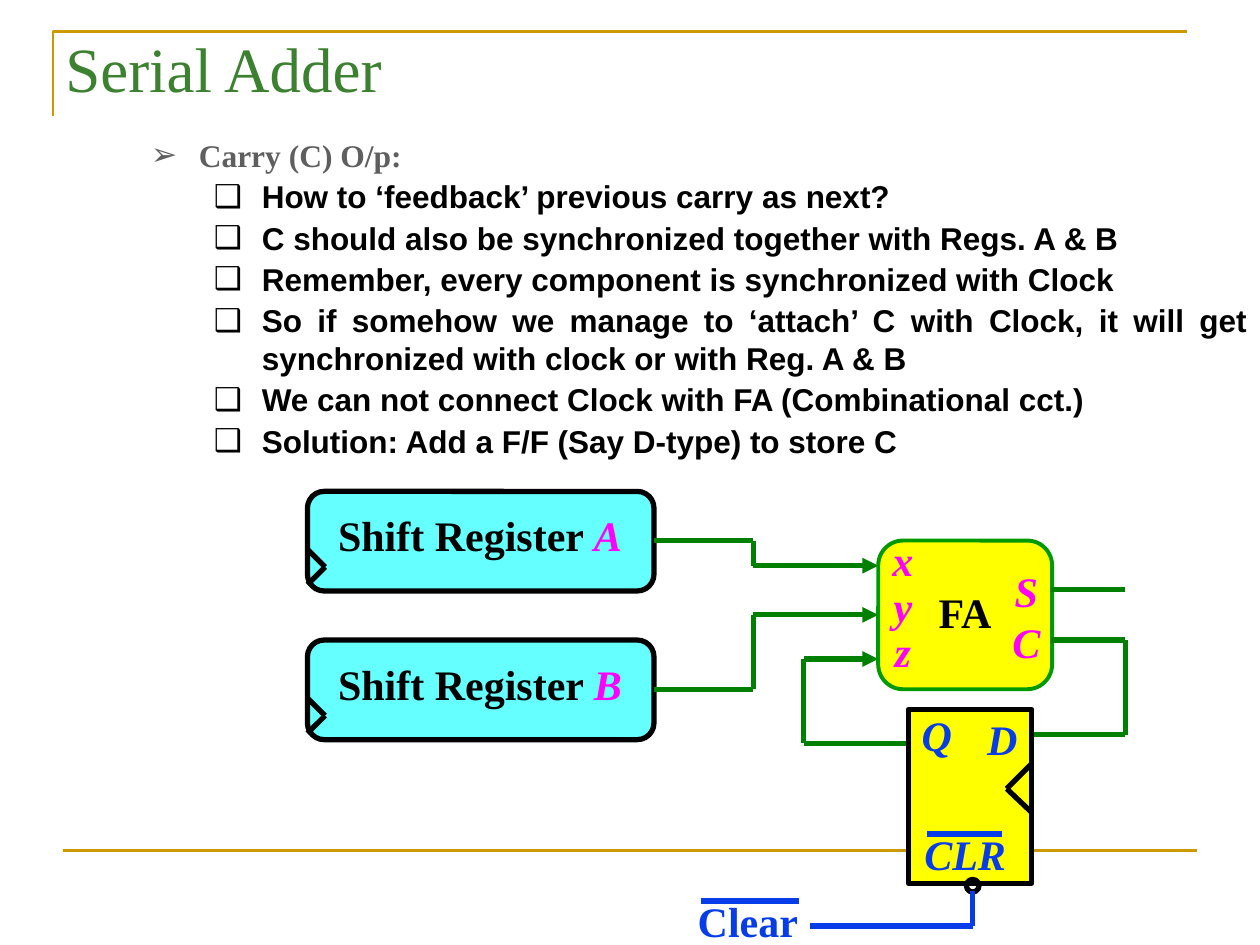
from dataclasses import dataclass
from itertools import pairwise

from lxml.etree import SubElement
from pptx import Presentation
from pptx.dml.color import RGBColor
from pptx.enum.shapes import MSO_CONNECTOR as Connector, MSO_SHAPE as Shape
from pptx.enum.text import MSO_ANCHOR as Anchor, PP_ALIGN as Align
from pptx.oxml.ns import qn
from pptx.util import Inches, Pt


@dataclass(frozen=True)
class Theme:
    serif: str = "Times New Roman"
    sans: str = "Arial"
    title: str = "3B812F"
    rule: str = "CC9900"
    gray: str = "5F5F5F"
    ink: str = "000000"
    cyan: str = "66FFFF"
    yellow: str = "FFFF00"
    border: str = "009900"
    wire: str = "008000"
    pink: str = "FF00FF"
    blue: str = "063DE8"
    title_size: float = 36
    body_size: float = 18
    label_size: float = 24
    rule_width: float = 1.5
    border_width: float = 2.25
    wire_width: float = 3


@dataclass(frozen=True)
class Box:
    left: float
    top: float
    width: float
    height: float

    def inner(self, x, y, width, height):
        return Box(self.left + x, self.top + y, width, height)

    def point(self, x, y):
        return self.left + x, self.top + y

    def lengths(self):
        return [Inches(v) for v in (self.left, self.top, self.width, self.height)]


THEME = Theme()


def color(value):
    return RGBColor.from_string(value)


def add_span(para, text, size, shade, font=THEME.serif, bold=True, italic=False):
    span = para.add_run()
    span.text = text
    span.font.size = Pt(size)
    span.font.name = font
    span.font.color.rgb = color(shade)
    span.font.bold = bold
    span.font.italic = italic


def set_frame(frame, inset_x=0, inset_y=0, anchor=Anchor.TOP):
    frame.word_wrap = True
    frame.margin_left = frame.margin_right = Inches(inset_x)
    frame.margin_top = frame.margin_bottom = Inches(inset_y)
    frame.vertical_anchor = anchor
    return frame


def add_text_box(page, box, **options):
    return set_frame(page.shapes.add_textbox(*box.lengths()).text_frame, **options)


def add_label(page, box, lines, spacing=0.9):
    frame = add_text_box(page, box)
    for index, spans in enumerate(lines):
        para = frame.add_paragraph() if index else frame.paragraphs[0]
        para.alignment = Align.CENTER
        para.line_spacing = spacing
        for text, shade, italic in spans:
            add_span(para, text, THEME.label_size, shade, italic=italic)


def add_path(page, points, shade, width=THEME.wire_width, arrow=False):
    for start, end in pairwise(points):
        line = page.shapes.add_connector(
            Connector.STRAIGHT, *[Inches(v) for v in (*start, *end)])
        line.line.color.rgb = color(shade)
        line.line.width = Pt(width)
        SubElement(line._element.spPr, qn("a:effectLst"))
    if arrow:
        SubElement(line.line._get_or_add_ln(), qn("a:tailEnd"), type="triangle")


def add_block(page, kind, box, fill, border, width=THEME.wire_width):
    block = page.shapes.add_shape(kind, *box.lengths())
    block.shadow.inherit = False
    if fill:
        block.fill.solid()
        block.fill.fore_color.rgb = color(fill)
    else:
        block.fill.background()
    block.line.color.rgb = color(border)
    block.line.width = Pt(width)
    return block


def add_bullet(para, symbol, shade, indent):
    props = para._p.get_or_add_pPr()
    props.set("marL", str(Inches(indent)))
    props.set("indent", str(-Inches(0.38)))
    SubElement(SubElement(props, qn("a:buClr")), qn("a:srgbClr"), val=shade)
    SubElement(props, qn("a:buFont"), typeface=THEME.sans)
    SubElement(props, qn("a:buChar"), char=symbol)


def add_rules(page, box):
    corner = [box.point(0, 0.67), box.point(0, 0), box.point(9, 0)]
    builder = page.shapes.build_freeform(*[Inches(v) for v in corner[0]], scale=1.0)
    builder.add_line_segments(
        [(Inches(x), Inches(y)) for x, y in corner[1:]], close=False)
    outline = builder.convert_to_shape()
    outline.shadow.inherit = False
    outline.fill.background()
    outline.line.color.rgb = color(THEME.rule)
    outline.line.width = Pt(THEME.rule_width)
    footer = [box.point(0.08, 6.5), box.point(9.08, 6.5)]
    add_path(page, footer, THEME.rule, THEME.rule_width)


def add_title(page, box, text):
    frame = add_text_box(page, box, inset_x=0.1, inset_y=0.05, anchor=Anchor.MIDDLE)
    add_span(frame.paragraphs[0], text, THEME.title_size, THEME.title, bold=False)


def add_notes_list(page, box, heading, points):
    frame = add_text_box(page, box, inset_x=0.1, inset_y=0.05)
    para = frame.paragraphs[0]
    para.alignment = Align.JUSTIFY
    add_bullet(para, "➢", THEME.gray, 0.38)
    add_span(para, heading, THEME.body_size, THEME.gray)
    for point in points:
        para = frame.add_paragraph()
        para.level = 1
        para.alignment = Align.JUSTIFY
        para.space_before = Pt(2)
        add_bullet(para, "❑", THEME.ink, 0.88)
        add_span(para, point, THEME.body_size, THEME.ink, THEME.sans)


def add_register(page, box, name):
    add_block(page, Shape.ROUNDED_RECTANGLE, box, THEME.cyan, THEME.ink)
    add_label(page, box.inner(0.19, 0.19, 2.36, 0.36),
              [[("Shift Register ", THEME.ink, False), (name, THEME.pink, True)]])
    notch = [box.point(0, 0.74), box.point(0.14, 0.6), box.point(0, 0.46)]
    add_path(page, notch, THEME.ink)


def add_full_adder(page, box):
    block = add_block(page, Shape.ROUNDED_RECTANGLE, box, THEME.yellow,
                      THEME.border, THEME.border_width)
    frame = set_frame(block.text_frame, anchor=Anchor.MIDDLE)
    para = frame.paragraphs[0]
    para.alignment = Align.CENTER
    para.line_spacing = 0.9
    add_span(para, "FA", THEME.label_size, THEME.ink)
    inputs, outputs = ([[(name, THEME.pink, True)] for name in names]
                       for names in ("xyz", "SC"))
    add_label(page, box.inner(0, 0, 0.39, 1.08), inputs)
    add_label(page, box.inner(0.98, 0.2, 0.39, 0.8), outputs, 1.0)


def add_flip_flop(page, box):
    add_block(page, Shape.RECTANGLE, box, THEME.yellow, THEME.ink)
    for name, x, y, width in (("Q", 0.03, 0.05, 0.39), ("D", 0.55, 0.08, 0.39),
                              ("CLR", -0.04, 0.99, 0.98)):
        add_label(page, box.inner(x, y, width, 0.36), [[(name, THEME.blue, True)]])
    notch = [box.point(0.98, 0.43), box.point(0.78, 0.63), box.point(0.98, 0.82)]
    add_path(page, notch, THEME.ink)
    add_path(page, [box.point(0.15, 0.99), box.point(0.74, 0.99)], THEME.blue)
    add_block(page, Shape.OVAL, box.inner(0.46, 1.35, 0.1, 0.1), None, THEME.ink)


def add_clear_input(page, box):
    add_label(page, box.inner(0, 0, 0.99, 0.35), [[("Clear", THEME.blue, False)]])
    add_path(page, [box.point(0.12, 0), box.point(0.9, 0)], THEME.blue)
    lead = [box.point(0.99, 0.2), box.point(2.28, 0.2), box.point(2.28, -0.08)]
    add_path(page, lead, THEME.blue)


def add_circuit(page, box):
    add_full_adder(page, box.inner(4.53, 0.39, 1.38, 1.18))
    for name, y in (("A", 0), ("B", 1.18)):
        add_register(page, box.inner(0, y, 2.75, 0.79), name)
    wires = (
        ([(2.75, 0.39), (3.54, 0.39), (3.54, 0.59), (4.53, 0.59)], True),
        ([(2.75, 1.57), (3.54, 1.57), (3.54, 0.98), (4.53, 0.98)], True),
        ([(4.77, 2), (3.94, 2), (3.94, 1.33), (4.53, 1.33)], True),
        ([(5.9, 0.78), (6.49, 0.78)], False),
        ([(5.9, 1.18), (6.49, 1.18), (6.49, 1.93), (5.73, 1.93)], False),
    )
    for points, arrow in wires:
        add_path(page, [box.point(*p) for p in points], THEME.wire, arrow=arrow)
    add_flip_flop(page, box.inner(4.77, 1.73, 0.98, 1.38))
    add_clear_input(page, box.inner(3, 3.25, 2.28, 0.35))


def main():
    deck = Presentation()
    deck.slide_width, deck.slide_height = Inches(10), Inches(7.5)
    page = deck.slides.add_slide(deck.slide_layouts[6])
    add_rules(page, Box(0.42, 0.25, 9, 6.5))
    add_title(page, Box(0.42, 0.14, 6.58, 0.78), "Serial Adder")
    add_notes_list(page, Box(1.1, 1.03, 8.9, 2.7), "Carry (C) O/p:", (
        "How to ‘feedback’ previous carry as next?",
        "C should also be synchronized together with Regs. A & B",
        "Remember, every component is synchronized with Clock",
        "So if somehow we manage to ‘attach’ C with Clock, it will get "
        "synchronized with clock or with Reg. A & B",
        "We can not connect Clock with FA (Combinational cct.)",
        "Solution: Add a F/F (Say D-type) to store C",
    ))
    add_circuit(page, Box(2.44, 3.9, 6.5, 3.6))
    deck.save("out.pptx")


if __name__ == "__main__":
    main()
